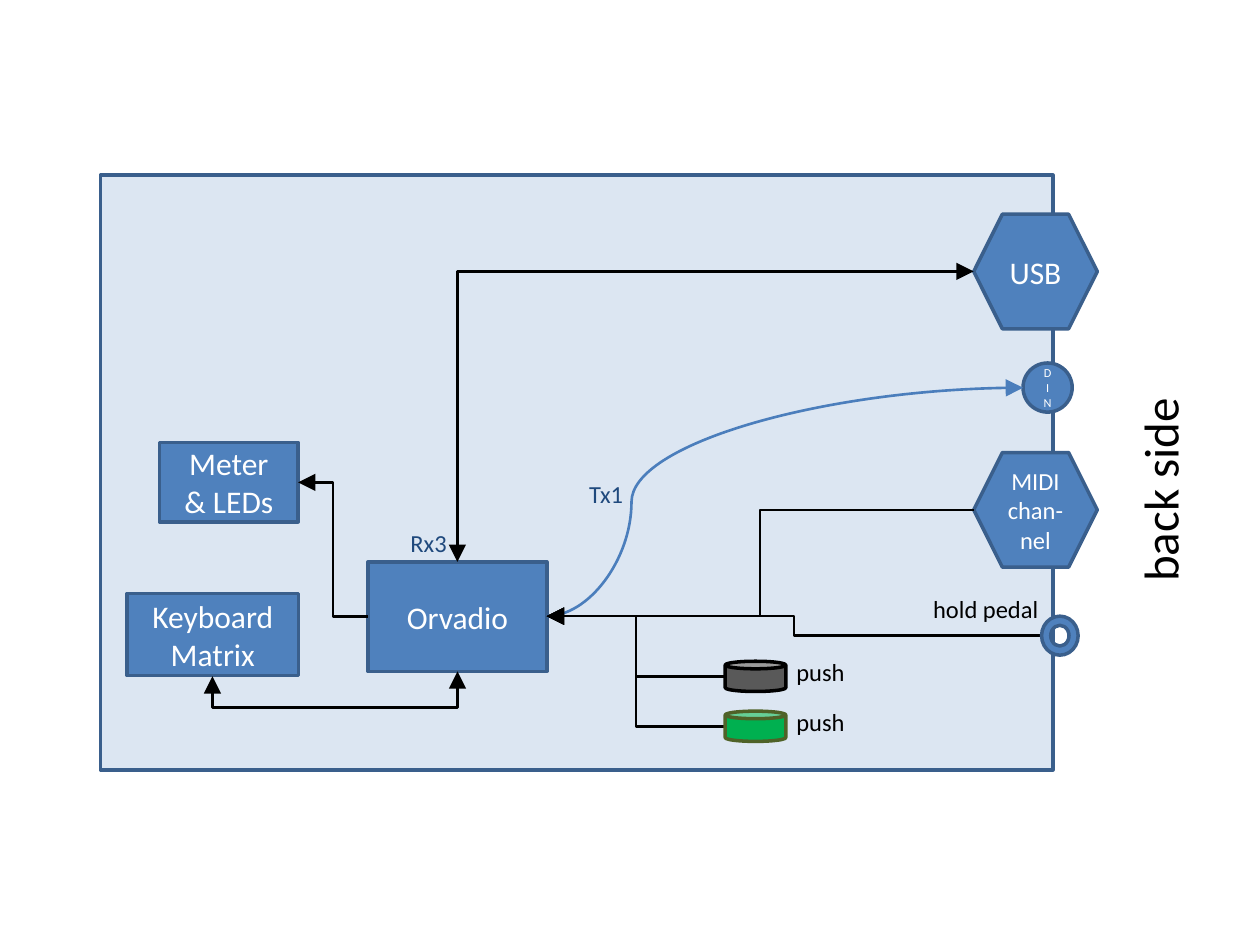
from pptx import Presentation
from pptx.dml.color import RGBColor
from pptx.enum.shapes import MSO_CONNECTOR, MSO_SHAPE
from pptx.enum.text import MSO_ANCHOR, MSO_AUTO_SIZE, PP_ALIGN
from pptx.oxml.ns import qn
from pptx.util import Pt
from lxml.etree import SubElement

BLACK = RGBColor(0, 0, 0)
WHITE = RGBColor(255, 255, 255)
PALE = RGBColor(0xDC, 0xE6, 0xF2)
BLUE = RGBColor(0x4F, 0x81, 0xBD)
EDGE = RGBColor(0x3A, 0x5F, 0x8C)
CURVE = RGBColor(0x4B, 0x7E, 0xBC)
NAVY = RGBColor(0x1F, 0x49, 0x7D)
GRAY = RGBColor(0x59, 0x59, 0x59)
GREEN = RGBColor(0, 0xB0, 0x50)
OLIVE = RGBColor(0x4F, 0x62, 0x28)


def write(frame, text, size=18, color=WHITE, align=PP_ALIGN.CENTER):
    """Fill a text frame; a vertical tab breaks a line."""
    frame.text = text
    for para in frame.paragraphs:
        para.alignment = align
        for run in para.runs:
            run.font.name = "Calibri"
            run.font.size = Pt(size)
            run.font.color.rgb = color


def block(shapes, kind, box, text="", size=18, fill=BLUE, edge=EDGE):
    """Add an outlined shape with centred text."""
    shape = shapes.add_shape(kind, *map(Pt, box))
    shape.shadow.inherit = False
    shape.fill.solid()
    shape.fill.fore_color.rgb = fill
    shape.line.color.rgb = edge
    shape.line.width = Pt(2)
    if text:
        shape.text_frame.word_wrap = True
        shape.text_frame.vertical_anchor = MSO_ANCHOR.MIDDLE
        write(shape.text_frame, text, size)
    return shape


def label(shapes, box, text, size=14, color=BLACK, turn=0):
    """Add a one-line label that fits its text."""
    shape = shapes.add_textbox(*map(Pt, box))
    shape.rotation = turn
    frame = shape.text_frame
    frame.word_wrap = False
    frame.auto_size = MSO_AUTO_SIZE.SHAPE_TO_FIT_TEXT
    write(frame, text, size, color, PP_ALIGN.LEFT)


def link(shapes, start, end, bend=0.5, ends=("head",), color=BLACK,
         kind=MSO_CONNECTOR.ELBOW, upright=False):
    """Join two points; bend is the share of the run before the turn.

    An upright link leaves its start vertically. No bend means one corner.
    """
    (x1, y1), (x2, y2) = start, end
    if upright:
        mx, my = (x1 + x2) / 2, (y1 + y2) / 2
        w, h = y2 - y1, x1 - x2
        x1, y1, x2, y2 = mx - w / 2, my - h / 2, mx + w / 2, my + h / 2
    line = shapes.add_connector(kind, *map(Pt, (x1, y1, x2, y2)))
    line.line.color.rgb = color
    line.line.width = Pt(1.5)
    props = line._element.spPr
    if upright:
        props.find(qn("a:xfrm")).set("rot", "5400000")
    shape = props.find(qn("a:prstGeom"))
    if bend is None:
        shape.set("prst", "bentConnector2")
    else:
        guides = shape.find(qn("a:avLst"))
        if guides is None:
            guides = SubElement(shape, qn("a:avLst"))
        SubElement(guides, qn("a:gd"), name="adj1",
                   fmla=f"val {round(bend * 100000)}")
    for tip in ends:
        SubElement(props.find(qn("a:ln")), qn(f"a:{tip}End"),
                   type="triangle", w="lg", len="lg")
    SubElement(props, qn("a:effectLst"))


def button(shapes, box, fill, edge):
    """Add a push button and its label as one group."""
    x, y, w, h = box
    group = shapes.add_group_shape().shapes
    block(group, MSO_SHAPE.CAN, box, fill=fill, edge=edge)
    label(group, (x + w - 1, y - 5.8, 42.5, 24.5), "push")


def board(shapes, box):
    """Add the case, its parts and the wiring between them."""
    x, y, w, h = box

    def at(dx, dy):
        return x + dx, y + dy

    rect, hexa = MSO_SHAPE.RECTANGLE, MSO_SHAPE.HEXAGON
    block(shapes, rect, box, fill=PALE)
    block(shapes, rect, (*at(152.9, 221), 102.2, 62.6), "Orvadio")
    block(shapes, MSO_SHAPE.FLOWCHART_CONNECTOR,
          (*at(527.2, 107.3), 28.1, 28.1), "DIN", 7)
    port = at(255, 252)
    link(shapes, port, at(527.2, 121.5), 0.178, ("tail",), CURVE,
         MSO_CONNECTOR.CURVE)
    label(shapes, (*at(272.2, 170), 34.6, 24.5), "Tx1", color=NAVY)

    for dy, fill, edge in ((277.8, GRAY, BLACK), (306.3, GREEN, OLIVE)):
        link(shapes, port, at(357, dy + 8.6))
        button(shapes, (*at(357, dy), 34.6, 17.3), fill, edge)

    block(shapes, rect, (*at(15.2, 239), 98, 47), "Keyboard\vMatrix")
    link(shapes, at(204, 283.5), at(64, 286.3), 7.35, ("head", "tail"),
         upright=True)
    link(shapes, port, at(537.8, 263.2))
    label(shapes, (*at(468.7, 236.1), 75.6, 24.5), "hold pedal")
    block(shapes, MSO_SHAPE.DONUT, (*at(537.8, 252), 20.9, 22.3))

    for dy, text, size in ((22.3, "USB", 18), (158.5, "MIDI chan-nel", 14)):
        block(shapes, hexa, (*at(499, dy), 70.6, 65.5), text, size)
    block(shapes, rect, (*at(33.8, 152.7), 79.2, 45.4), "Meter\n& LEDs")
    link(shapes, at(113, 175.5), at(152.9, 252))
    label(shapes, (*at(170, 198), 35.3, 24.5), "Rx3", color=NAVY)
    link(shapes, at(499, 55), at(204, 221), None, ("head", "tail"))
    link(shapes, port, at(499, 191.3))


deck = Presentation()
deck.slide_width, deck.slide_height = Pt(720), Pt(540)
slide = deck.slides.add_slide(deck.slide_layouts[6])
board(slide.shapes, (57.4, 100.1, 544.3, 339.8))
label(slide.shapes, (601.9, 258.5, 121, 41), "back side", 28, turn=270)
deck.save("out.pptx")
